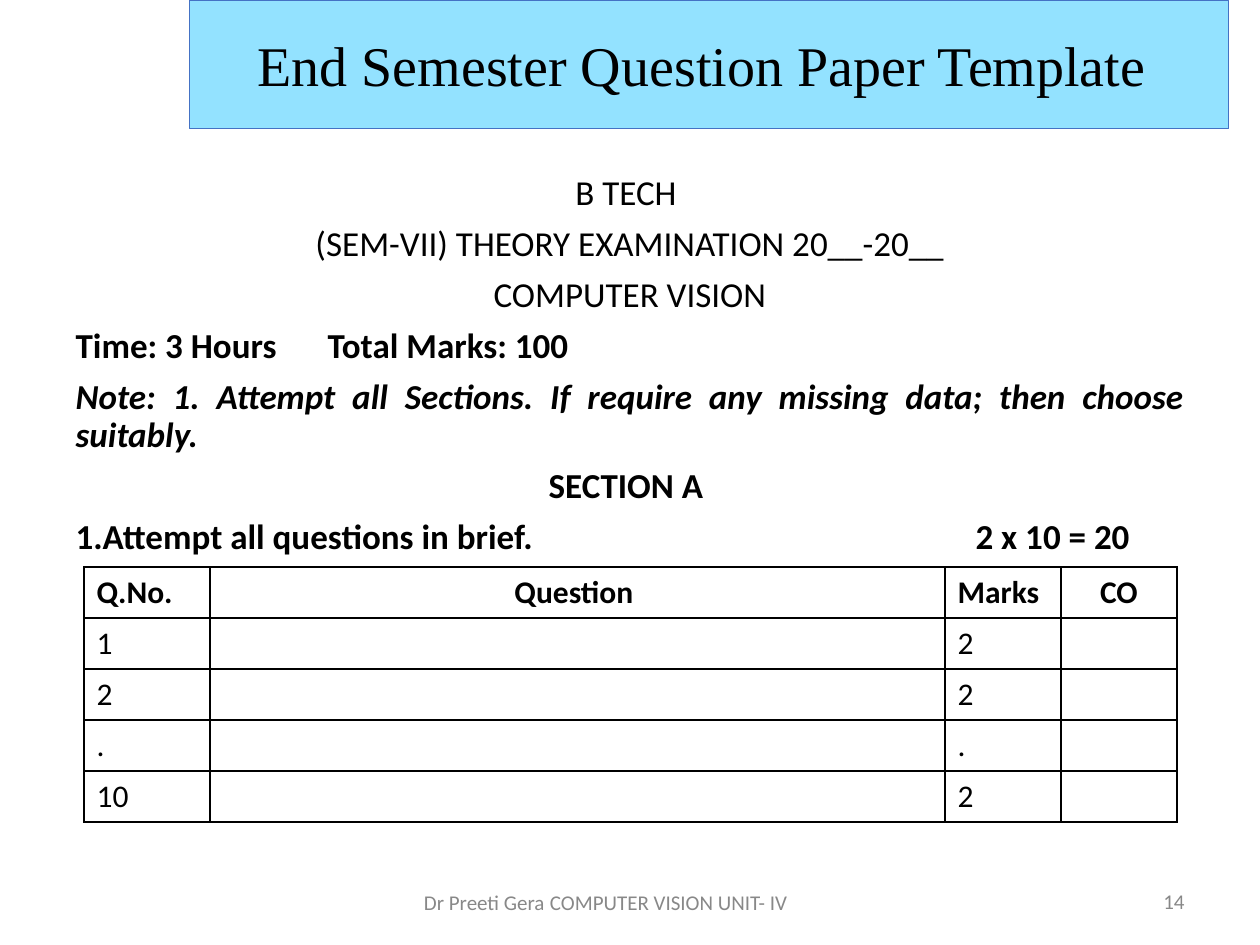
"""Builds the end semester question paper template slide."""
from dataclasses import dataclass

from lxml.etree import SubElement
from pptx import Presentation
from pptx.dml.color import RGBColor as RGB
from pptx.enum.text import MSO_ANCHOR as ANCHOR, MSO_AUTO_SIZE as FIT, PP_ALIGN as AL
from pptx.oxml.ns import qn
from pptx.util import Emu, Pt


@dataclass(frozen=True)
class Theme:
    ink: RGB = RGB(0x00, 0x00, 0x00)
    paper: RGB = RGB(0xFF, 0xFF, 0xFF)
    banner: RGB = RGB(0x93, 0xE2, 0xFF)
    edge: RGB = RGB(0x44, 0x72, 0xC4)
    muted: RGB = RGB(0x88, 0x88, 0x88)
    serif: str = "Times New Roman"
    sans: str = "Calibri"
    title: int = 32
    body: int = 20
    cell: int = 18
    small: int = 12


T = Theme()
SCALE = 914400 / 126


def px(n):
    return Emu(round(n * SCALE))


def write(tf, text, size, font=T.sans, color=T.ink, bold=False, italic=False,
          align=AL.LEFT, tab=None, number=False, add=False, before=None, line=None):
    p = tf.add_paragraph() if add else tf.paragraphs[0]
    pPr = p._p.get_or_add_pPr()
    hang = px(27) if number else 0
    pPr.set("marL", str(hang))
    pPr.set("indent", str(-hang))
    if number:
        SubElement(pPr, qn("a:buFont"), typeface="+mj-lt")
        SubElement(pPr, qn("a:buAutoNum"), type="arabicPeriod")
    else:
        SubElement(pPr, qn("a:buNone"))
    if tab:
        pos, kind = tab
        tabs = SubElement(pPr, qn("a:tabLst"))
        SubElement(tabs, qn("a:tab"), pos=str(px(pos)), algn=kind)
    p.alignment = align
    p.space_before = Pt(before or 0)
    if line:
        p.line_spacing = line
    r = p.add_run()
    r.text = text
    r.font.name, r.font.size = font, Pt(size)
    r.font.bold, r.font.italic = bold, italic
    r.font.color.rgb = color


prs = Presentation()
prs.slide_width, prs.slide_height = px(1260), px(945)
s = prs.slides.add_slide(prs.slide_layouts[1])

sp = s.shapes.title
sp.left, sp.top, sp.width, sp.height = px(189), px(0), px(1040), px(129)
sp.fill.solid()
sp.fill.fore_color.rgb = T.banner
sp.line.color.rgb = T.edge
sp.line.width = Pt(0.5)
sp.text_frame.auto_size = FIT.NONE
sp.text_frame.vertical_anchor = ANCHOR.MIDDLE
write(sp.text_frame, "End Semester Question Paper Template ", T.title,
      font=T.serif, align=AL.CENTER)

sp = s.placeholders[1]
sp.left, sp.top, sp.width, sp.height = px(63), px(169), px(1134), px(655)
sp.text_frame.auto_size = FIT.NONE
paper_lines = [
    ("B TECH ", dict(align=AL.CENTER)),
    ("(SEM-VII) THEORY EXAMINATION 20__-20__", dict(align=AL.CENTER)),
    ("COMPUTER VISION", dict(align=AL.CENTER)),
    ("Time: 3 Hours\tTotal Marks: 100", dict(bold=True, tab=(1106, "r"))),
    ("Note: 1. Attempt all Sections. If require any missing data; then choose suitably.",
     dict(bold=True, italic=True, align=AL.JUSTIFY)),
    ("SECTION A ", dict(bold=True, align=AL.CENTER)),
    ("Attempt all questions in brief.\t2 x 10 = 20",
     dict(bold=True, number=True, tab=(900, "l"))),
]
for i, (text, style) in enumerate(paper_lines):
    write(sp.text_frame, text, T.body, add=i > 0, before=7.5 if i else 0, line=0.9, **style)

footers = [
    ("Dr Preeti Gera\tCOMPUTER VISION UNIT- IV", (324, 879, 621, 47), 100,
     dict(tab=(178, "l"))),
    ("14", (903, 876, 294, 50), 13, dict(align=AL.RIGHT)),
]
for text, box, inset, style in footers:
    tf = s.shapes.add_textbox(*map(px, box)).text_frame
    tf.word_wrap = True
    tf.vertical_anchor = ANCHOR.MIDDLE
    tf.margin_left = px(inset)
    write(tf, text, T.small, color=T.muted, **style)

rows = [
    ("Q.No.", "Question ", "Marks", "CO"),
    ("1", "", "2", ""),
    ("2", "", "2", ""),
    (".", "", ".", ""),
    ("10", "", "2", ""),
]
widths = [126, 735, 116, 116]
row_height = 51
table = s.shapes.add_table(len(rows), len(widths), px(84), px(567), px(sum(widths)),
                           px(row_height * len(rows))).table
for column, width in zip(table.columns, widths):
    column.width = px(width)
for i, row in enumerate(rows):
    table.rows[i].height = px(row_height)
    for j, text in enumerate(row):
        cell = table.cell(i, j)
        tcPr = cell._tc.get_or_add_tcPr()
        for side in ("a:lnL", "a:lnR", "a:lnT", "a:lnB"):
            ln = SubElement(tcPr, qn(side), w=str(Pt(1)))
            SubElement(SubElement(ln, qn("a:solidFill")), qn("a:srgbClr"), val=str(T.ink))
        cell.fill.solid()
        cell.fill.fore_color.rgb = T.paper
        if text:
            write(cell.text_frame, text, T.cell, bold=i == 0,
                  align=AL.CENTER if j in (1, 3) else AL.LEFT)

prs.save("out.pptx")
